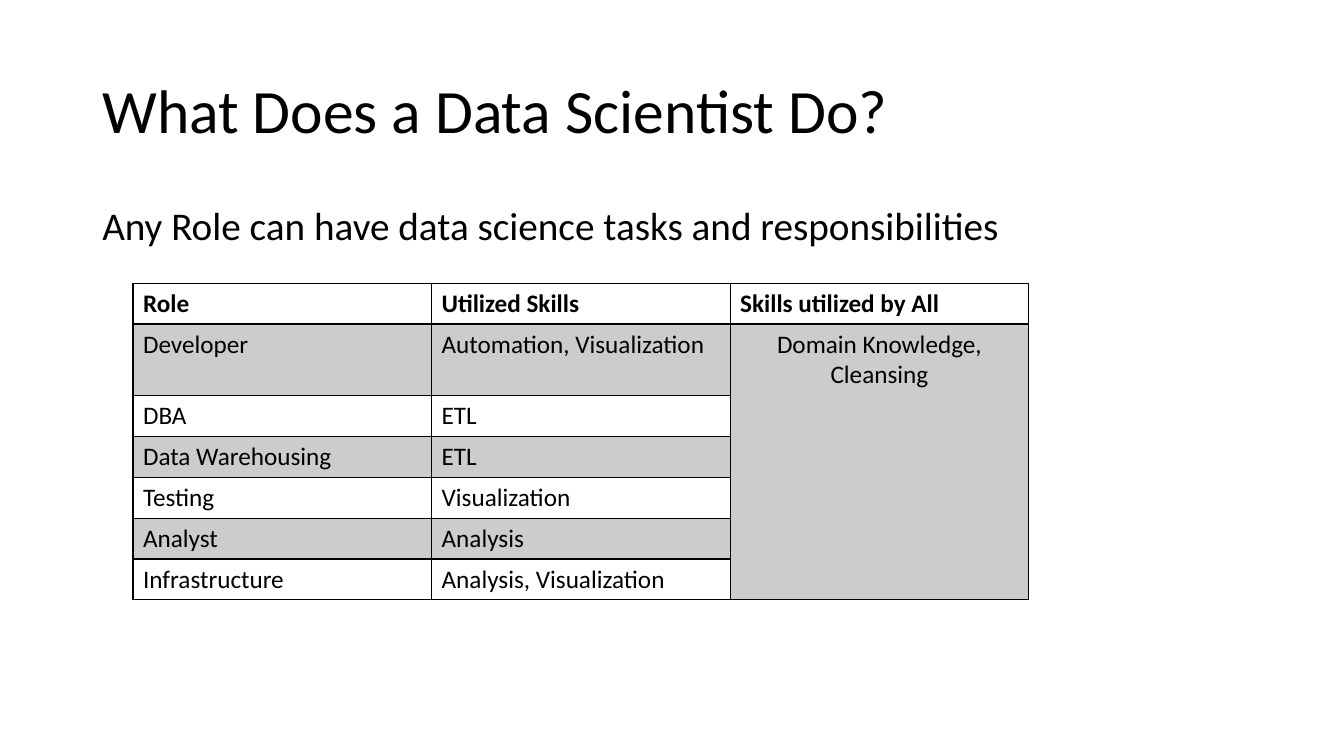
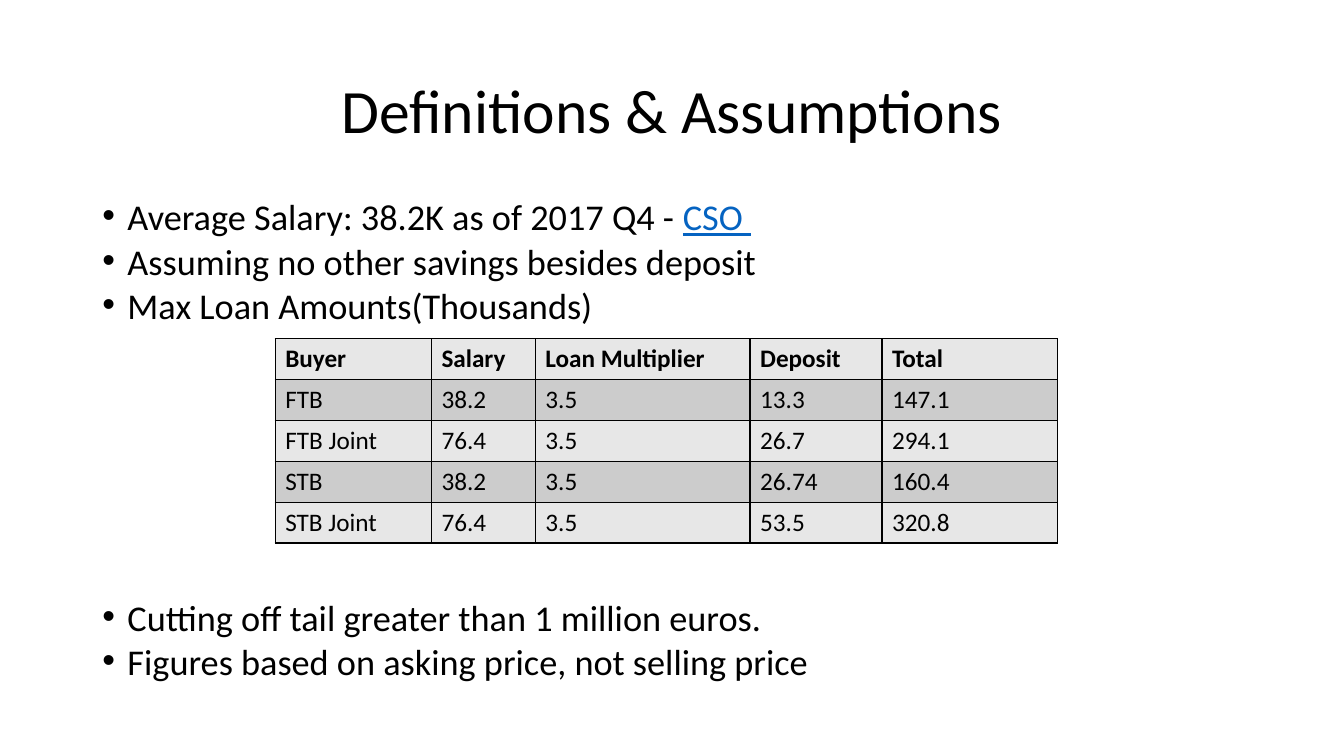
from lxml import etree
from pptx import Presentation
from pptx import util as u
from pptx.dml.color import RGBColor
from pptx.enum import text
from pptx.oxml.ns import qn

COLORS = {"ink": "000000", "band": "CCCCCC", "pale": "E7E7E7", "link": "0563C1"}
FONT = "Calibri"
LEFT, WIDTH = 66, 828
CENTER = text.PP_ALIGN.CENTER


class Deck:
    """Holds the style and the current slide, and adds elements to it."""

    def __init__(self):
        self.prs = Presentation()
        self.prs.slide_width, self.prs.slide_height = u.Pt(960), u.Pt(540)

    def slide(self):
        self.s = self.prs.slides.add_slide(self.prs.slide_layouts[6])

    def set(self, obj, fmt):
        for name, value in fmt.items():
            setattr(obj, name, value)

    def run(self, p, tx, size, color="ink", **fmt):
        r = p.add_run()
        r.text = tx
        self.set(r.font, {"name": FONT, "size": u.Pt(size), **fmt})
        r.font.color.rgb = RGBColor.from_string(COLORS[color])

    def box(self, top, height, paras, size, spacing=0.9, before=0, bullet=False,
            anchor=text.MSO_ANCHOR.TOP, align=None):
        sp = self.s.shapes.add_textbox(u.Pt(LEFT), u.Pt(top), u.Pt(WIDTH), u.Pt(height))
        tf = sp.text_frame
        self.set(tf, {"word_wrap": True, "auto_size": text.MSO_AUTO_SIZE.NONE,
                      "vertical_anchor": anchor})
        for i, runs in enumerate(paras):
            p = tf.add_paragraph() if i else tf.paragraphs[0]
            self.set(p, {"line_spacing": spacing, "space_before": u.Pt(before),
                         "alignment": align})
            if bullet:
                self.bullet(p)
            for tx, fmt in runs:
                self.run(p, tx, size, **fmt)

    def bullet(self, p):
        pPr = p._p.get_or_add_pPr()
        pPr.set("marL", str(u.Pt(18)))
        pPr.set("indent", str(u.Pt(-18)))
        etree.SubElement(pPr, qn("a:buFont"), typeface="Arial")
        etree.SubElement(pPr, qn("a:buChar"), char="•")

    def title(self, tx, align=None):
        self.box(28.8, 104.4, [[(tx, {})]], 44, anchor=text.MSO_ANCHOR.MIDDLE, align=align)

    def bullets(self, top, height, paras):
        self.box(top, height, paras, 25.9, spacing=0.7, before=10, bullet=True)

    def borders(self, cell, widths):
        tcPr = cell._tc.get_or_add_tcPr()
        for i, (side, width) in enumerate(widths.items()):
            ln = etree.Element(qn(f"a:ln{side}"), w=str(u.Pt(width)))
            fill = etree.SubElement(ln, qn("a:solidFill"))
            etree.SubElement(fill, qn("a:srgbClr"), val=COLORS["ink"])
            tcPr.insert(i, ln)

    def table(self, left, top, cols, heights, rows, plain=None, rule=1):
        tb = self.s.shapes.add_table(len(rows), len(cols), u.Pt(left), u.Pt(top),
                                     u.Pt(sum(cols)), u.Pt(sum(heights))).table
        self.set(tb, {"first_row": False, "horz_banding": False})
        for col, width in zip(tb.columns, cols):
            col.width = u.Pt(width)
        for i, (row, height, values) in enumerate(zip(tb.rows, heights, rows)):
            row.height = u.Pt(height)
            for cell, tx in zip(row.cells, values):
                color = "band" if i % 2 or tx is None else plain
                if color:
                    cell.fill.solid()
                    cell.fill.fore_color.rgb = RGBColor.from_string(COLORS[color])
                else:
                    cell.fill.background()
                self.borders(cell, {"L": 1, "R": 1, "T": rule if i == 1 else 1,
                                    "B": rule if i == 0 else 1})
                if tx:
                    self.run(cell.text_frame.paragraphs[0], tx, 18, bold=i == 0)
        return tb


def roles(deck):
    deck.slide()
    deck.title("What Does a Data Scientist Do?")
    deck.box(144, 342.7, [[("Any Role can have data science tasks and responsibilities", {})]],
             28, before=10)
    rows = [
        ("Role", "Utilized Skills", "Skills utilized by All"),
        ("Developer", "Automation, Visualization", "Domain Knowledge, Cleansing"),
        ("DBA", "ETL", None),
        ("Data Warehousing", "ETL", None),
        ("Testing", "Visualization", None),
        ("Analyst", "Analysis", None),
        ("Infrastructure", "Analysis, Visualization", None),
    ]
    tb = deck.table(95, 202.3, [213.3] * 3, [29.2, 51] + [29.2] * 5, rows, rule=2)
    shared = tb.cell(1, 2)
    shared.merge(tb.cell(6, 2))
    shared.text_frame.paragraphs[0].alignment = CENTER


def assumptions(deck):
    deck.slide()
    deck.title("Definitions & Assumptions", CENTER)
    deck.bullets(144, 96, [
        [("Average Salary: 38.2K as of 2017 Q4 - ", {}),
         ("CSO ", {"color": "link", "underline": True})],
        [("Assuming no other savings besides deposit", {})],
        [("Max Loan Amounts(Thousands)", {})],
    ])
    deck.bullets(430, 72, [
        [("Cutting off tail greater than 1 million euros.", {})],
        [("Figures based on asking price, not selling price", {})],
    ])
    rows = [
        ("Buyer", "Salary", "Loan Multiplier", "Deposit", "Total"),
        ("FTB", "38.2", "3.5", "13.3", "147.1"),
        ("FTB Joint", "76.4", "3.5", "26.7", "294.1"),
        ("STB", "38.2", "3.5", "26.74", "160.4"),
        ("STB Joint", "76.4", "3.5", "53.5", "320.8"),
    ]
    deck.table(196.6, 241.9, [111.6, 74.2, 153.4, 94.3, 125.3], [29.2] * 5, rows, plain="pale")


def main():
    deck = Deck()
    roles(deck)
    assumptions(deck)
    deck.prs.save("out.pptx")


if __name__ == "__main__":
    main()
